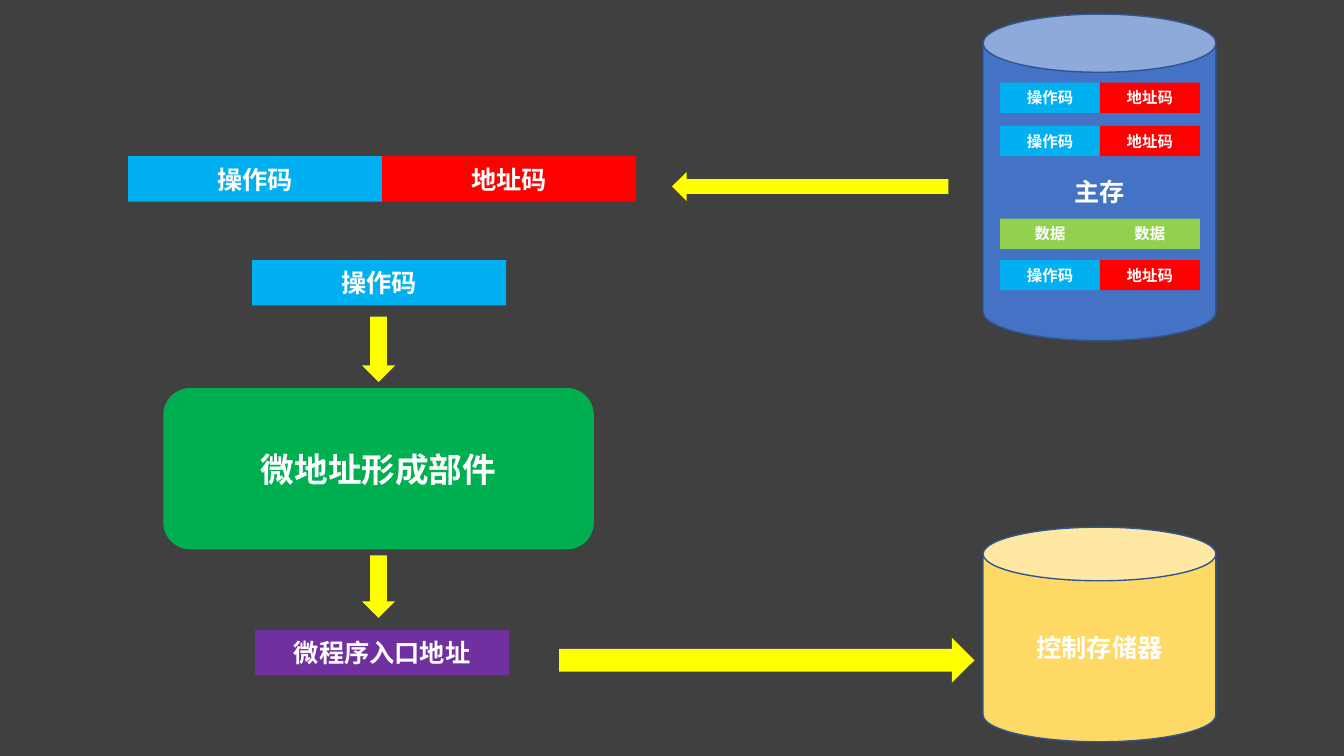
from pptx import Presentation
from pptx import util as u
from pptx.dml.color import RGBColor
from pptx.enum import shapes, text
from lxml import etree

FONT = "Noto Sans CJK SC"
COLORS = {
    "background": "404040", "white": "FFFFFF", "opcode": "00B0F0",
    "address": "FF0000", "data": "92D050", "unit": "00B050",
    "entry": "7030A0", "arrow": "FFFF00", "memory": "4472C4",
    "control": "FFD966", "outline": "325491",
}
MSO = shapes.MSO_SHAPE
DRAWING_NS = "{http://schemas.openxmlformats.org/drawingml/2006/main}"


def add_block(parent, kind, box, color, label="", size=18, outline=None, rotation=0):
    sp = parent.add_shape(kind, *[u.Inches(v) for v in box])
    sp.rotation = rotation
    sp.shadow.inherit = False
    sp.fill.solid()
    sp.fill.fore_color.rgb = RGBColor.from_string(COLORS[color])
    if outline:
        sp.line.color.rgb = RGBColor.from_string(COLORS[outline])
        sp.line.width = u.Pt(1)
    else:
        sp.line.fill.background()
    if label:
        tf = sp.text_frame
        tf.text = label
        tf.vertical_anchor = text.MSO_ANCHOR.MIDDLE
        p = tf.paragraphs[0]
        p.alignment = text.PP_ALIGN.CENTER
        font = p.runs[0].font
        font.name, font.size, font.bold = FONT, u.Pt(size), True
        font.color.rgb = RGBColor.from_string(COLORS["white"])
        # East Asian text takes its typeface from a:ea
        rPr = p.runs[0]._r.get_or_add_rPr()
        etree.SubElement(rPr, DRAWING_NS + "ea", typeface=FONT)


def add_word(left, top, width, height, size, fields):
    group = s.shapes.add_group_shape()
    for i, (label, color) in enumerate(fields):
        box = (left + i * width, top, width, height)
        add_block(group.shapes, MSO.RECTANGLE, box, color, label, size)


prs = Presentation()
prs.slide_width, prs.slide_height = u.Inches(13.33), u.Inches(7.5)
s = prs.slides.add_slide(prs.slide_layouts[6])
s.background.fill.solid()
s.background.fill.fore_color.rgb = RGBColor.from_string(COLORS["background"])

instruction = [("操作码", "opcode"), ("地址码", "address")]
data = [("数据", "data")] * 2

# Fetched instruction
add_word(1.27, 1.55, 2.52, 0.45, 18, instruction)

# Opcode, micro-address unit and entry address
add_block(s.shapes, MSO.ROUNDED_RECTANGLE, (1.62, 3.85, 4.27, 1.6), "unit", "微地址形成部件", 24)
add_block(s.shapes, MSO.RECTANGLE, (2.5, 2.58, 2.52, 0.45), "opcode", "操作码")
add_block(s.shapes, MSO.RECTANGLE, (2.53, 6.25, 2.52, 0.45), "entry", "微程序入口地址")

# Main memory and its words
add_block(s.shapes, MSO.CAN, (9.75, 0.14, 2.31, 3.24), "memory", "主存", outline="outline")
for top, fields in [(0.82, instruction), (1.25, instruction), (2.17, data), (2.58, instruction)]:
    add_word(9.92, top, 0.99, 0.3, 11, fields)

# Control memory
add_block(s.shapes, MSO.CAN, (9.75, 5.23, 2.31, 2.13), "control", "控制存储器", outline="outline")

# Flow arrows: two down, one left, one right
for box, rotation in [
    ((3.59, 3.14, 0.33, 0.65), 0),
    ((3.59, 5.51, 0.33, 0.62), 0),
    ((7.89, 0.48, 0.29, 2.74), 90),
    ((7.38, 4.49, 0.45, 4.12), 270),
]:
    add_block(s.shapes, MSO.DOWN_ARROW, box, "arrow", rotation=rotation)

prs.save("out.pptx")
